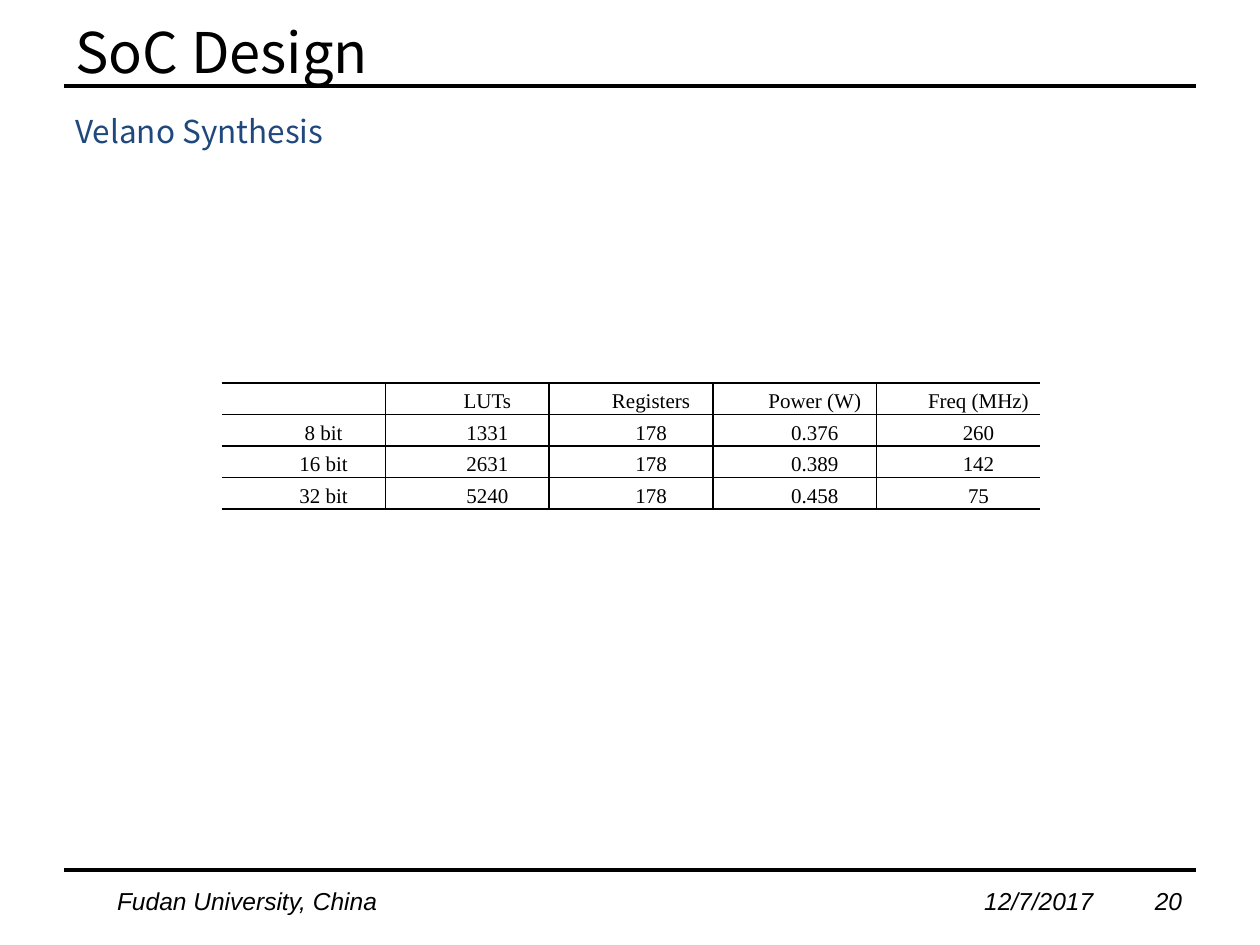
from dataclasses import dataclass

from lxml.etree import SubElement
from pptx import Presentation
from pptx.dml.color import RGBColor
from pptx.enum.shapes import MSO_CONNECTOR as Connector
from pptx.enum.text import MSO_ANCHOR as Anchor, MSO_AUTO_SIZE as AutoSize, PP_ALIGN as Align
from pptx.oxml.ns import qn
from pptx.util import Cm, Pt


@dataclass(frozen=True)
class Theme:
    black: str = "000000"
    blue: str = "1F497D"
    heading_font: str = "Noto Sans CJK SC"
    footer_font: str = "Arial"
    table_font: str = "Times New Roman"
    title_size: float = 32
    subtitle_size: float = 18
    footer_size: float = 14
    table_size: float = 12
    rule_width: float = 2.25
    border_width: float = 1


@dataclass(frozen=True)
class Box:
    """Position and size in centimetres."""
    left: float
    top: float
    width: float
    height: float

    def lengths(self) -> tuple:
        return Cm(self.left), Cm(self.top), Cm(self.width), Cm(self.height)


THEME = Theme()
TITLE_BOX = Box(1.27, -0.08, 22.86, 2.21)
SUBTITLE_BOX = Box(1.27, 2.13, 6.02, 1.02)
FOOTER_BOX = Box(2.11, 17.73, 22.4, 0.85)
TABLE_BOX = Box(4.47, 7.72, 16.5, 2.54)
RULE_LEFT, RULE_RIGHT = 1.3, 24.1
RULE_TOPS = (1.73, 17.53)
FOOTER_TABS = (17.48, 20.92)
FIRST_LINE_INDENT = 0.81
PLAIN_TABLE_STYLE = "{2D5ABB26-0587-4C30-8999-92F81FD0307C}"

SYNTHESIS_ROWS = (
    ("", "LUTs", "Registers", "Power (W)", "Freq (MHz)"),
    ("8 bit", "1331", "178", "0.376", "260"),
    ("16 bit", "2631", "178", "0.389", "142"),
    ("32 bit", "5240", "178", "0.458", "75"),
)


def format_runs(paragraph, font: str, size: float, color: str, italic: bool = False) -> None:
    for run in paragraph.runs:
        run.font.name = font
        run.font.size = Pt(size)
        run.font.color.rgb = RGBColor.from_string(color)
        run.font.italic = italic


def add_title(slide, text: str) -> None:
    title = slide.shapes.title
    title.left, title.top, title.width, title.height = TITLE_BOX.lengths()
    frame = title.text_frame
    frame.text = text
    frame.vertical_anchor = Anchor.MIDDLE
    paragraph = frame.paragraphs[0]
    paragraph.alignment = Align.LEFT
    format_runs(paragraph, THEME.heading_font, THEME.title_size, THEME.black)


def add_text(slide, box: Box, text: str):
    """Add a one-line text box and return its paragraph."""
    frame = slide.shapes.add_textbox(*box.lengths()).text_frame
    frame.word_wrap = True
    frame.auto_size = AutoSize.SHAPE_TO_FIT_TEXT
    frame.text = text
    return frame.paragraphs[0]


def add_footer(slide, *parts: str) -> None:
    paragraph = add_text(slide, FOOTER_BOX, "\t".join(parts))
    format_runs(paragraph, THEME.footer_font, THEME.footer_size, THEME.black, italic=True)
    tab_list = SubElement(paragraph._p.get_or_add_pPr(), qn("a:tabLst"))
    for position in FOOTER_TABS:
        SubElement(tab_list, qn("a:tab"), pos=str(Cm(position)), algn="l")


def add_rule(slide, top: float) -> None:
    rule = slide.shapes.add_connector(
        Connector.STRAIGHT, Cm(RULE_LEFT), Cm(top), Cm(RULE_RIGHT), Cm(top))
    rule.line.color.rgb = RGBColor.from_string(THEME.black)
    rule.line.width = Pt(THEME.rule_width)
    SubElement(rule._element.spPr, qn("a:effectLst"))


def set_borders(cell, sides: str) -> None:
    """Draw the sides named by letters from L, R, T and B; clear the others."""
    properties = cell._tc.get_or_add_tcPr()
    for side in "LRTB":
        line = SubElement(properties, qn(f"a:ln{side}"), w=str(Pt(THEME.border_width)))
        if side in sides:
            fill = SubElement(line, qn("a:solidFill"))
            SubElement(fill, qn("a:srgbClr"), val=THEME.black)
        else:
            SubElement(line, qn("a:noFill"))


def fill_cell(cell, text: str) -> None:
    cell.margin_left = cell.margin_right = Cm(0.18)
    cell.margin_top = cell.margin_bottom = 0
    cell.vertical_anchor = Anchor.MIDDLE
    cell.text_frame.text = text
    paragraph = cell.text_frame.paragraphs[0]
    paragraph.alignment = Align.CENTER
    paragraph.line_spacing = 1.25
    paragraph._p.get_or_add_pPr().set("indent", str(Cm(FIRST_LINE_INDENT)))
    format_runs(paragraph, THEME.table_font, THEME.table_size, THEME.black)
    if not text:
        SubElement(paragraph._p, qn("a:endParaRPr"), sz=str(int(THEME.table_size * 100)))


def add_synthesis_table(slide, rows: tuple) -> None:
    column_count = len(rows[0])
    table = slide.shapes.add_table(len(rows), column_count, *TABLE_BOX.lengths()).table
    table.first_row = table.horz_banding = False
    table._tbl.tblPr.find(qn("a:tableStyleId")).text = PLAIN_TABLE_STYLE
    for row_index, row in enumerate(rows):
        for column_index, text in enumerate(row):
            cell = table.cell(row_index, column_index)
            fill_cell(cell, text)
            left = "L" if column_index > 0 else ""
            right = "R" if column_index < column_count - 1 else ""
            set_borders(cell, left + right + "TB")
            cell.fill.background()


def main() -> None:
    presentation = Presentation()
    presentation.slide_width, presentation.slide_height = Cm(25.4), Cm(19.05)
    slide = presentation.slides.add_slide(presentation.slide_layouts[5])
    add_footer(slide, "Fudan University, China", "12/7/2017", "20")
    for top in RULE_TOPS:
        add_rule(slide, top)
    add_title(slide, "SoC Design")
    subtitle = add_text(slide, SUBTITLE_BOX, "Velano Synthesis")
    format_runs(subtitle, THEME.heading_font, THEME.subtitle_size, THEME.blue)
    add_synthesis_table(slide, SYNTHESIS_ROWS)
    presentation.save("out.pptx")


if __name__ == "__main__":
    main()
